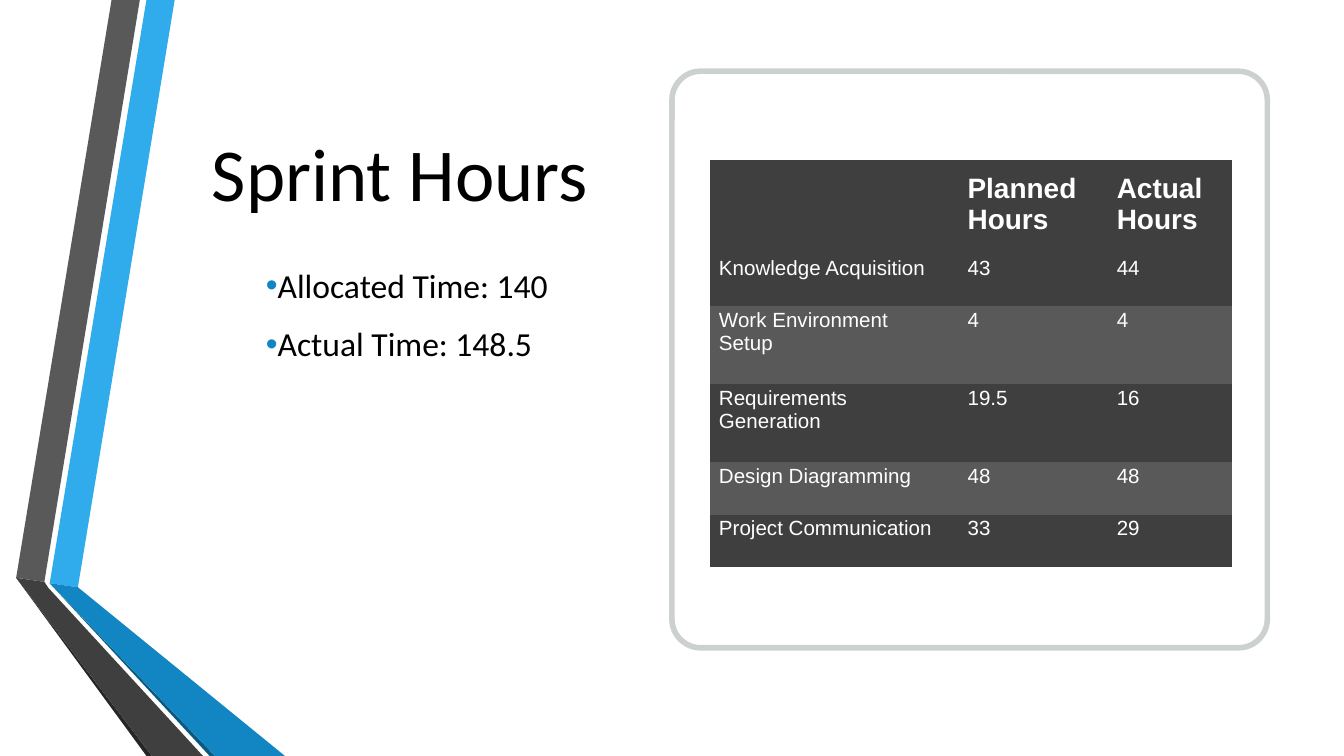
from dataclasses import dataclass
from lxml.etree import SubElement
from pptx import Presentation
from pptx.dml.color import RGBColor as RGB
from pptx.enum.shapes import MSO_SHAPE as Shape
from pptx.enum.text import MSO_ANCHOR as Anchor, PP_ALIGN as Align
from pptx.oxml.ns import qn
from pptx.util import Inches, Pt

UNIT = Inches(0.1)  # one column or row of the grid
COLS, ROWS = 100, 56.25


@dataclass(frozen=True)
class Theme:
    black: str = "000000"
    white: str = "FFFFFF"
    dark: str = "3F3F3F"
    gray: str = "595959"
    shade: str = "262626"
    sky: str = "30ACEC"
    blue: str = "1186C3"
    navy: str = "0B5982"
    frame: str = "CDD0D1"
    head: str = "Calibri"
    body: str = "Arial"
    title: int = 40
    list: int = 18
    label: int = 15
    cell: int = 11


T = Theme()
HOURS = [
    ("", "Planned Hours", "Actual Hours"),
    ("Knowledge Acquisition", "43", "44"),
    ("Work Environment Setup", "4", "4"),
    ("Requirements Generation", "19.5", "16"),
    ("Design Diagramming", "48", "48"),
    ("Project Communication", "33", "29"),
]


def grid(*cells):
    return [round(c * UNIT) for c in cells]


def paint(part, color):
    part.fill.solid()
    part.fill.fore_color.rgb = RGB.from_string(color)


def style(para, face, size, color, bold=False):
    for run in para.runs:
        font = run.font
        font.name, font.size, font.bold = face, Pt(size), bold
        font.color.rgb = RGB.from_string(color)


def ribbon(slide, box):
    """Draw two folded bands; points count from the box's top left."""
    left, top, _, end = box
    bands = [
        (T.sky, [(2.5, 43.4), (4.6, 43.7), (11.8, 0), (9.7, 0)]),
        (T.gray, [(9.2, 0), (7.1, 0), (0, 43), (2.1, 43.3)]),
        (T.shade, [(0, 43), (9.7, end), (10.1, end)]),
        (T.navy, [(2.5, 43.4), (14.4, end), (14.8, end)]),
        (T.blue, [(2.5, 43.4), (14.8, end), (20, end), (4.6, 43.7)]),
        (T.dark, [(13.9, end), (2.4, 43.75), (2.1, 43.3), (0, 43), (10.1, end)]),
    ]
    for color, spots in bands:
        first, *rest = [grid(left + x, top + y) for x, y in spots]
        pen = slide.shapes.build_freeform(*first, scale=1)
        pen.add_line_segments(rest, close=True)
        band = pen.convert_to_shape()
        band.shadow.inherit = False
        paint(band, color)
        band.line.fill.background()


def text(slide, box, lines):
    frame = slide.shapes.add_textbox(*grid(*box)).text_frame
    frame.word_wrap = True
    frame.vertical_anchor = Anchor.MIDDLE
    frame.text = "\n".join(lines)
    return frame.paragraphs


def title(slide, box):
    para, = text(slide, box, ["Sprint Hours"])
    para.alignment = Align.CENTER
    style(para, T.head, T.title, T.black)


def bullet(para):
    props = para._p.get_or_add_pPr()
    props.set("marL", "0")
    props.set("indent", str(-Inches(0.18)))
    color = SubElement(props, qn("a:buClr"))
    SubElement(color, qn("a:srgbClr"), val=T.blue)
    SubElement(props, qn("a:buFont"), typeface=T.body)
    SubElement(props, qn("a:buChar"), char="•")


def totals(slide, box):
    paras = text(slide, box, ["Allocated Time: 140", "Actual Time: 148.5"])
    for para in paras:
        bullet(para)
        style(para, T.head, T.list, T.black)
    paras[-1].space_before, paras[-1].space_after = Pt(9.6), Pt(6)


def edge(cell):
    """Give the cell a thin white left border."""
    line = SubElement(cell._tc.get_or_add_tcPr(), qn("a:lnL"), w=str(Pt(1)))
    fill = SubElement(line, qn("a:solidFill"))
    SubElement(fill, qn("a:srgbClr"), val=T.white)


def table(slide, box):
    wide, high = [18.5, 11.1, 9.3], [7, 3.9, 5.8, 5.8, 3.9, 3.9]
    tab = slide.shapes.add_table(len(high), len(wide), *grid(*box)).table
    tab.first_row = tab.horz_banding = False
    plain = "{2D5ABB26-0587-4C30-8999-92F81FD0307C}"  # no style, no grid
    tab._tbl.tblPr.find(qn("a:tableStyleId")).text = plain
    for col, width in zip(tab.columns, grid(*wide)):
        col.width = width
    for row, height in zip(tab.rows, grid(*high)):
        row.height = height
    for r, words in enumerate(HOURS):
        top = r == 0
        for c, word in enumerate(words):
            cell = tab.cell(r, c)
            cell.text = word
            cell.margin_left, cell.margin_top = Inches(0.07), Inches(0.02)
            cell.margin_right, cell.margin_bottom = Inches(0.09), Inches(0.14)
            cell.vertical_anchor = Anchor.BOTTOM if top else Anchor.TOP
            size = T.label if top else T.cell
            style(cell.text_frame.paragraphs[0], T.body, size, T.white, top)
            if c == 0 and not top:
                edge(cell)
            paint(cell, T.gray if r and r % 2 == 0 else T.dark)


def card(slide, box):
    left, top, width, _ = box
    panel = slide.shapes.add_shape(Shape.ROUNDED_RECTANGLE, *grid(*box))
    panel.adjustments[0] = 0.05
    panel.shadow.inherit = False
    paint(panel, T.white)
    panel.line.color.rgb = RGB.from_string(T.frame)
    panel.line.width = Pt(3)
    table(slide, (left + 2.8, top + 6.6, width - 5.4, 30.3))


def main():
    deck = Presentation()
    deck.slide_width, deck.slide_height = grid(COLS, ROWS)
    slide = deck.slides.add_slide(deck.slide_layouts[6])
    ribbon(slide, (1.2, 0, 20, ROWS))
    title(slide, (12.2, 5.6, 35.1, 14.4))
    totals(slide, (18.8, 10.6, 35.1, 25.6))
    card(slide, (50, 5.3, 44.3, 42.9))
    deck.save("out.pptx")


if __name__ == "__main__":
    main()
